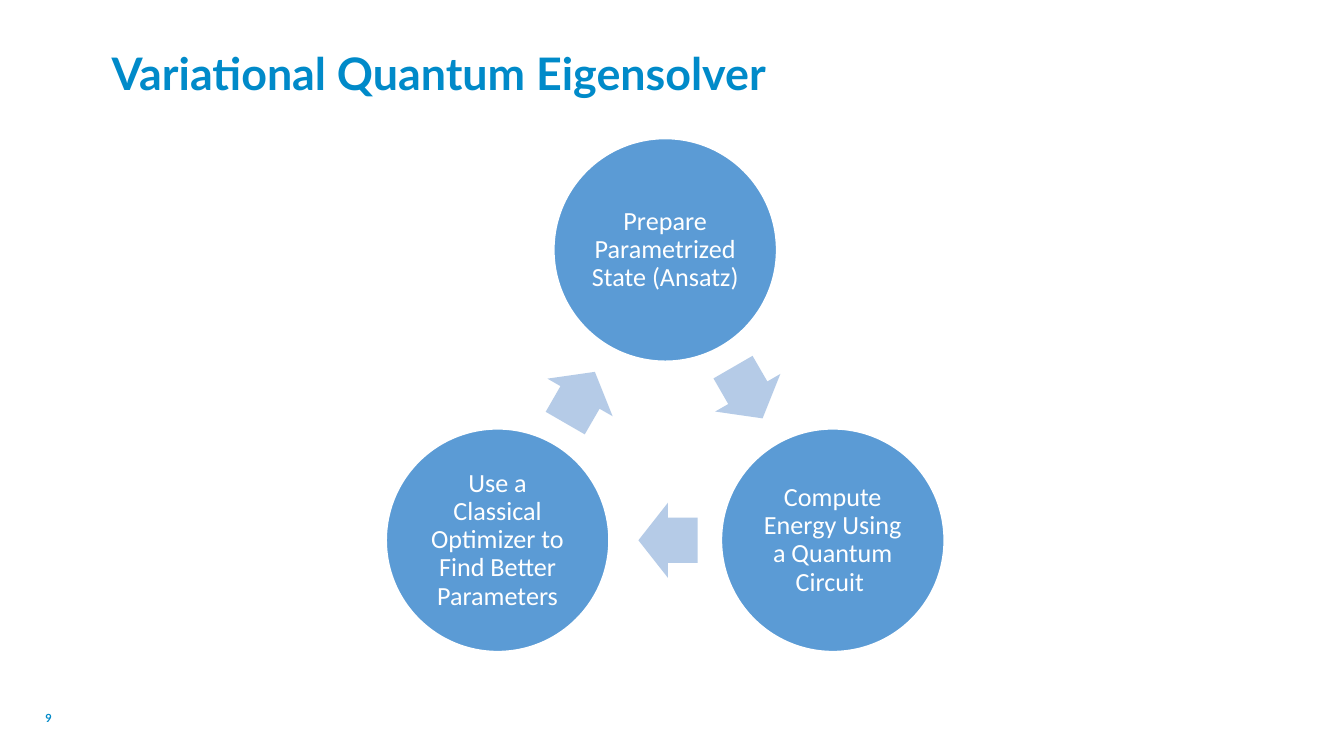
import math
from pptx import Presentation
from pptx.dml.color import RGBColor
from pptx.enum import shapes, text
from pptx.util import Inches, Pt

TITLE = "Variational Quantum Eigensolver"
PAGE = "9"
STEPS = [
    "Prepare Parametrized State (Ansatz)",
    "Compute Energy Using a Quantum Circuit ",
    "Use a Classical Optimizer to Find Better Parameters",
]
COLORS = {"head": "008AC9", "disc": "5B9BD5", "arrow": "B5CBE7", "white": "FFFFFF"}
WIDE = Inches(10)
MID_X, MID_Y, RING = 4.95, 3.3, 1.44
DISC = 1.66
ARROW_W, ARROW_H, SHIFT = 0.44, 0.56, 0.02


def color(name):
    return RGBColor.from_string(COLORS[name])


def style(frame, words, font, size, tint, bold=False, align=text.PP_ALIGN.LEFT, space=1.0):
    frame.text = words
    frame.word_wrap = True
    frame.vertical_anchor = text.MSO_ANCHOR.MIDDLE
    para = frame.paragraphs[0]
    para.alignment = align
    para.line_spacing = space
    face = para.runs[0].font
    face.name, face.size, face.bold = font, Pt(size), bold
    face.color.rgb = color(tint)


def add_shape(slide, kind, x, y, w, h, fill):
    shape = slide.shapes.add_shape(
        kind, Inches(x - w / 2), Inches(y - h / 2), Inches(w), Inches(h))
    shape.shadow.inherit = False
    shape.fill.solid()
    shape.fill.fore_color.rgb = color(fill)
    return shape


def add_disc(slide, x, y, words):
    disc = add_shape(slide, shapes.MSO_SHAPE.OVAL, x, y, DISC, DISC, "disc")
    disc.line.color.rgb = color("white")
    disc.line.width = Pt(1)
    frame = disc.text_frame
    frame.margin_left = frame.margin_right = Inches(0.02)
    frame.margin_top = frame.margin_bottom = Inches(0.02)
    style(frame, words, "Calibri", 14, "white", align=text.PP_ALIGN.CENTER, space=0.9)


def add_arrow(slide, start, end):
    turn = math.atan2(end[1] - start[1], end[0] - start[0])
    x = (start[0] + end[0]) / 2 - SHIFT * math.cos(turn)
    y = (start[1] + end[1]) / 2 - SHIFT * math.sin(turn)
    arrow = add_shape(slide, shapes.MSO_SHAPE.RIGHT_ARROW, x, y, ARROW_W, ARROW_H, "arrow")
    arrow.line.fill.background()
    arrow.adjustments[0], arrow.adjustments[1] = 0.6, 0.5
    arrow.rotation = round(math.degrees(turn)) % 360


def main():
    deck = Presentation()
    deck.slide_width, deck.slide_height = WIDE, WIDE * 9 // 16
    slide = deck.slides.add_slide(deck.slide_layouts[5])

    title = slide.shapes.title
    title.left, title.top = Inches(0.73), Inches(0.2)
    title.width, title.height = Inches(8.45), Inches(0.73)
    style(title.text_frame, TITLE, "Lato", 24, "head", bold=True, space=0.9)

    page = slide.shapes.add_textbox(Inches(0.24), Inches(5.24), Inches(0.37), Inches(0.21))
    style(page.text_frame, PAGE, "Lato", 6, "head", bold=True)

    spots = []
    for i in range(len(STEPS)):
        angle = math.tau * i / len(STEPS) - math.pi / 2
        spots.append((MID_X + RING * math.cos(angle), MID_Y + RING * math.sin(angle)))
    for i, (spot, words) in enumerate(zip(spots, STEPS)):
        add_disc(slide, *spot, words)
        add_arrow(slide, spot, spots[(i + 1) % len(spots)])

    deck.save("out.pptx")


if __name__ == "__main__":
    main()
